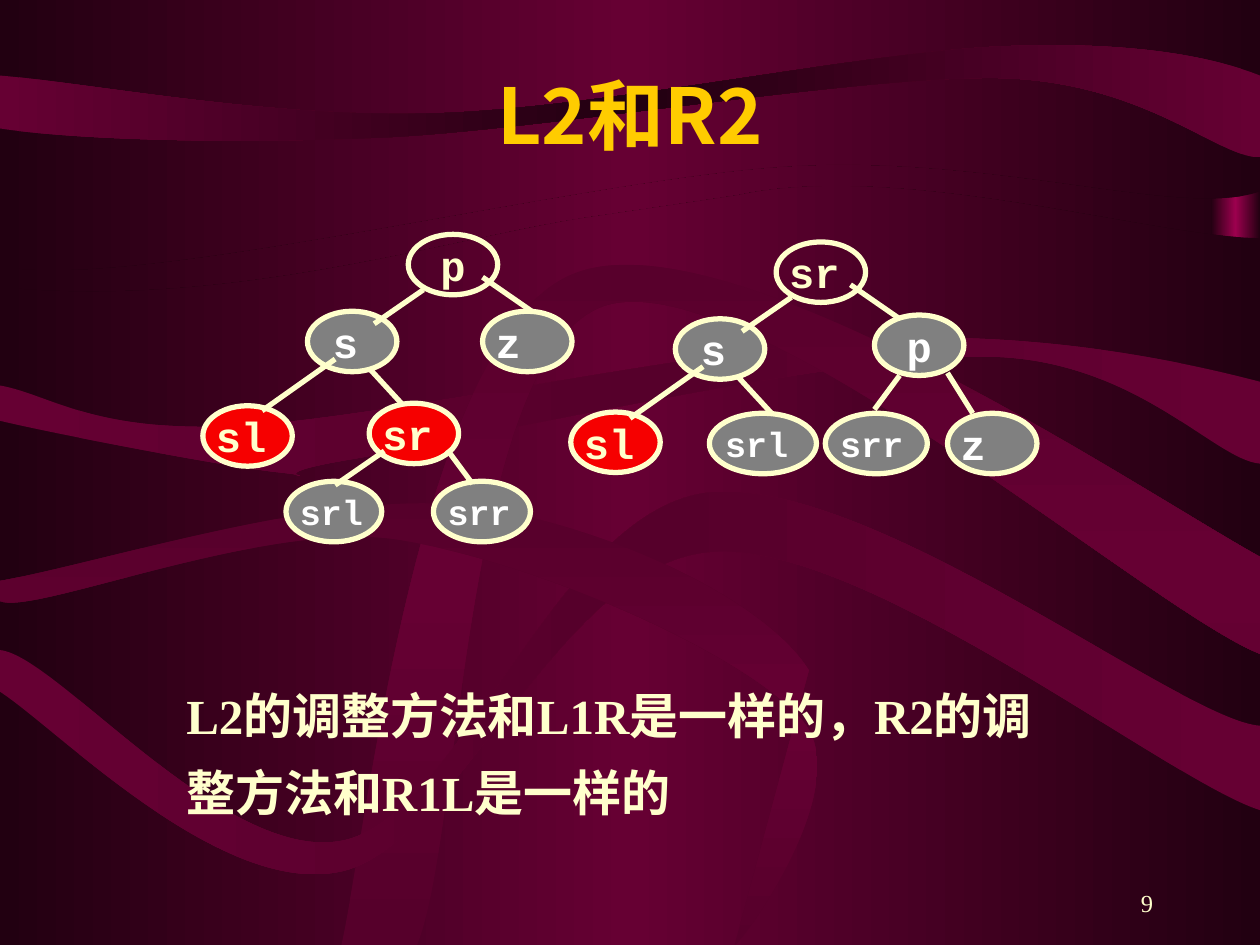
"""Build the slide that shows the L2 and R2 tree adjustments on a ribbon background."""
from copy import deepcopy
from dataclasses import dataclass

from lxml import etree
from pptx import Presentation
from pptx.dml.color import RGBColor
from pptx.enum.shapes import MSO_CONNECTOR, MSO_SHAPE
from pptx.enum.text import MSO_ANCHOR, PP_ALIGN
from pptx.oxml.ns import qn
from pptx.util import Cm, Pt

LEFT, CENTER, RIGHT = PP_ALIGN.LEFT, PP_ALIGN.CENTER, PP_ALIGN.RIGHT
JUSTIFY = PP_ALIGN.JUSTIFY
MIDDLE, BOTTOM = MSO_ANCHOR.MIDDLE, MSO_ANCHOR.BOTTOM
OVAL, RECTANGLE = MSO_SHAPE.OVAL, MSO_SHAPE.RECTANGLE
STRAIGHT = MSO_CONNECTOR.STRAIGHT


@dataclass(frozen=True)
class Theme:
    dark: str = "220011"
    wine: str = "660033"
    plum: str = "56002B"
    glow: str = "9C004E"
    cream: str = "FFFFCC"
    gold: str = "FFCC00"
    white: str = "FFFFFF"
    red: str = "F60000"
    grey: str = "808080"
    title_font: str = "Noto Sans CJK SC"
    body_font: str = "Times New Roman"
    node_font: str = "Courier New"
    title_size: int = 44
    body_size: int = 28
    node_size: int = 24
    small_node_size: int = 20
    number_size: int = 14
    outline: int = 3


THEME = Theme()
HORIZONTAL, VERTICAL = 0, 90
INSETS = (0.1, 0.05)
NODE_HEIGHT = 0.48
SECOND_TREE = (2.92, 0.06)

FADE = (THEME.dark, THEME.wine, THEME.dark)
DIP = (THEME.wine, THEME.dark, THEME.wine)
SOFT_DIP = (THEME.wine, THEME.plum, THEME.wine)
SOFT_RISE = (THEME.plum, THEME.wine, THEME.plum)

RIBBONS = [
    (FADE, HORIZONTAL, [(0, 0), (10, 0), (10, 1.52), (9.38, 1.74, 7.92, 1.22, 6.25, 1.32),
                        (4.58, 1.42, 1.04, 2.33, 0, 2.11)]),
    (FADE, HORIZONTAL, [(0, 2.28), (1.78, 2.45, 3.4, 1.94, 4.58, 1.74),
                        (4.58, 1.74, 5.67, 1.58, 5.86, 1.55),
                        (7.15, 1.27, 9.17, 1.89, 10, 1.89), (10, 7.5), (0, 7.5)]),
    (DIP, HORIZONTAL, [(0, 0.6), (0, 1.02), (0.51, 1.1, 1.76, 1.15, 3.08, 1.09),
                       (4.4, 1.02, 6.79, 0.6, 7.94, 0.62), (9.09, 0.65, 9.66, 1.25, 10, 1.25),
                       (10, 0.6), (9.65, 0.46, 9.01, 0.32, 7.92, 0.37),
                       (6.82, 0.42, 4.77, 0.86, 3.45, 0.9), (2.13, 0.94, 0.72, 0.66, 0, 0.6)]),
    (SOFT_DIP, HORIZONTAL, [(0, 3.06), (0, 3.34), (0.37, 3.43, 1.75, 3.7, 2.22, 3.75),
                            (2.69, 3.8, 1.9, 3.79, 2.82, 3.64), (3.75, 3.48, 6.6, 2.82, 7.8, 2.83),
                            (9, 2.83, 9.63, 3.65, 10, 3.68), (10, 3.03),
                            (9.5, 2.9, 8.36, 2.63, 7.01, 2.69), (5.66, 2.74, 3.07, 3.32, 1.9, 3.38),
                            (0.73, 3.44, 0.4, 3.13, 0, 3.06)]),
    (SOFT_RISE, VERTICAL, [(2.71, 7.5), (2.91, 6.61, 3.32, 2.69, 4.54, 2.18),
                           (5.75, 1.66, 9.09, 3.92, 10, 4.42), (10, 5.19),
                           (9.13, 4.85, 5.91, 2.05, 4.79, 2.43),
                           (3.68, 2.82, 3.66, 6.66, 3.31, 7.5)]),
    (SOFT_DIP, HORIZONTAL, [(0, 5.16), (0, 5.49), (0.45, 5.78, 1.74, 7.11, 2.69, 6.92),
                            (3.63, 6.74, 4.43, 4.46, 5.65, 4.38), (6.87, 4.29, 9.27, 6.2, 10, 6.43),
                            (10, 5.76), (9.38, 5.72, 6.91, 3.77, 5.62, 3.91),
                            (4.41, 4.06, 3.67, 6.46, 2.73, 6.67), (1.79, 6.87, 0.45, 5.2, 0, 5.16)]),
    (SOFT_RISE, VERTICAL, [(0, 4.61), (0, 4.77), (0.26, 4.89, 2.08, 4.13, 3.14, 4.28),
                           (4.2, 4.44, 5.92, 5.18, 6.37, 5.72), (6.82, 6.25, 5.82, 7.57, 5.83, 7.5),
                           (6.42, 5.32), (6.06, 4.74, 4.73, 4.13, 3.66, 4.01),
                           (2.59, 3.89, 0.76, 4.48, 0, 4.61)]),
]

NODES = [
    ("p", 3.24, 1.86, 0.71, None), ("sr", 2.93, 3.2, 0.71, THEME.red),
    ("sl", 1.61, 3.22, 0.71, THEME.red), ("s", 2.44, 2.47, 0.71, THEME.grey),
    ("z", 3.83, 2.47, 0.71, THEME.grey), ("srl", 2.27, 3.82, 0.76, THEME.grey),
    ("srr", 3.44, 3.82, 0.77, THEME.grey),
    ("p", 6.94, 2.5, 0.71, THEME.grey), ("sr", 6.16, 1.92, 0.71, None),
    ("sl", 4.53, 3.27, 0.71, THEME.red), ("s", 5.36, 2.53, 0.71, THEME.grey),
    ("z", 7.52, 3.28, 0.71, THEME.grey), ("srl", 5.63, 3.28, 0.85, THEME.grey),
    ("srr", 6.55, 3.28, 0.81, THEME.grey),
]
BACK_EDGE = (2.78, 2.76, 3.24, 3.26)
SHARED_EDGES = [(3.36, 2.3, 2.97, 2.57), (2.66, 2.85, 2.08, 3.26), (3.83, 2.2, 4.22, 2.47)]
OWN_EDGES = [(3.05, 3.58, 2.66, 3.85), (3.55, 3.57, 3.75, 3.84),
             (7.14, 2.98, 6.94, 3.25), (7.52, 2.96, 7.72, 3.28)]


def lengths(*inches):
    """Turn inches into slide lengths."""
    return [Cm(value * 2.54) for value in inches]


def shifted(edge):
    """Move an edge of the first tree to its place in the second tree."""
    return tuple(value + SECOND_TREE[index % 2] for index, value in enumerate(edge))


def bend(shape, outline):
    """Join each run of three line segments that stands for a curve."""
    segments = iter(shape.element.xpath(".//a:lnTo"))
    for step in outline[1:]:
        segment = next(segments)
        if len(step) == 6:
            segment.tag = qn("a:cubicBezTo")
            for follower in (next(segments), next(segments)):
                segment.append(follower[0])
                follower.getparent().remove(follower)


def paint_gradient(fill, element, colors, angle):
    """Give a fill three evenly spaced gradient colours."""
    fill.gradient()
    stop_list = element.xpath(".//a:gsLst")[0]
    stop_list.append(deepcopy(stop_list[0]))
    for index, (stop, color) in enumerate(zip(fill.gradient_stops, colors)):
        stop.position = index / 2
        stop.color.rgb = RGBColor.from_string(color)
    fill.gradient_angle = angle


def write(frame, text, *, size, font, color, bold=True, align=LEFT, anchor=MIDDLE,
          insets=INSETS, line_spacing=None):
    """Write one formatted paragraph into a text frame."""
    frame.word_wrap = True
    frame.vertical_anchor = anchor
    frame.margin_left, frame.margin_top = lengths(*insets)
    frame.margin_right, frame.margin_bottom = lengths(*insets)
    paragraph = frame.paragraphs[0]
    paragraph.alignment = align
    paragraph.line_spacing = line_spacing
    run = paragraph.add_run()
    run.text = text
    run.font.size, run.font.name, run.font.bold = Pt(size), font, bold
    run.font.color.rgb = RGBColor.from_string(color)
    etree.SubElement(run._r.get_or_add_rPr(), qn("a:ea"), typeface=THEME.title_font)


class SlideBuilder:
    """Hold the theme and the current slide, and add each kind of element."""

    def __init__(self, slide, theme):
        self.slide, self.theme, self.shapes = slide, theme, slide.shapes

    def background(self):
        paint_gradient(self.slide.background.fill, self.slide.element, FADE, HORIZONTAL)

    def decorate(self, shape, colors, angle):
        shape.shadow.inherit = False
        shape.line.fill.background()
        paint_gradient(shape.fill, shape.element, colors, angle)

    def band(self, left, top, width, height, colors):
        shape = self.shapes.add_shape(RECTANGLE, *lengths(left, top, width, height))
        self.decorate(shape, colors, HORIZONTAL)

    def ribbon(self, colors, angle, outline):
        points = [lengths(*step[index:index + 2]) for step in outline
                  for index in range(0, len(step), 2)]
        builder = self.shapes.build_freeform(*points[0])
        builder.add_line_segments(points[1:], close=True)
        shape = builder.convert_to_shape()
        bend(shape, outline)
        self.decorate(shape, colors, angle)

    def title(self, text, *box):
        shape = self.shapes.title
        self.shapes.element.append(shape.element)
        shape.left, shape.top, shape.width, shape.height = lengths(*box)
        write(shape.text_frame, text, size=self.theme.title_size, font=self.theme.title_font,
              color=self.theme.gold, align=CENTER)

    def text(self, text, *box, **style):
        shape = self.shapes.add_textbox(*lengths(*box))
        write(shape.text_frame, text, font=self.theme.body_font, color=self.theme.cream, **style)

    def node(self, label, left, top, width, color):
        theme = self.theme
        shape = self.shapes.add_shape(OVAL, *lengths(left, top, width, NODE_HEIGHT))
        shape.shadow.inherit = False
        if color:
            shape.fill.solid()
            shape.fill.fore_color.rgb = RGBColor.from_string(color)
        else:
            shape.fill.background()
        self.outline(shape.line)
        write(shape.text_frame, label, font=theme.node_font,
              size=theme.small_node_size if len(label) == 3 else theme.node_size,
              color=theme.white if color == theme.grey else theme.cream,
              align=CENTER if label == "p" else JUSTIFY,
              insets=INSETS if label == "s" else (0, 0))

    def edge(self, *ends):
        connector = self.shapes.add_connector(STRAIGHT, *lengths(*ends))
        self.outline(connector.line)
        etree.SubElement(connector.element.spPr, qn("a:effectLst"))

    def outline(self, line):
        line.width = Pt(self.theme.outline)
        line.color.rgb = RGBColor.from_string(self.theme.cream)


def main():
    """Build and save the presentation."""
    presentation = Presentation()
    presentation.slide_width, presentation.slide_height = lengths(10, 7.5)
    slide = presentation.slides.add_slide(presentation.slide_layouts[5])
    builder = SlideBuilder(slide, THEME)
    builder.background()
    builder.band(9.61, 0.49, 0.39, 3.45, (THEME.dark, THEME.glow, THEME.dark))
    for ribbon in RIBBONS:
        builder.ribbon(*ribbon)
    builder.text("9", 7.17, 6.83, 2.08, 0.5, size=THEME.number_size, bold=False,
                 align=RIGHT, anchor=BOTTOM)
    builder.title("L2和R2", 0.75, 0.28, 8.5, 1.25)
    for edge in (BACK_EDGE, shifted(BACK_EDGE)):
        builder.edge(*edge)
    for node in NODES:
        builder.node(*node)
    for edge in SHARED_EDGES + [shifted(edge) for edge in SHARED_EDGES] + OWN_EDGES:
        builder.edge(*edge)
    builder.text("L2的调整方法和L1R是一样的，R2的调整方法和R1L是一样的", 1.38, 5.25, 7.01, 1.32,
                 size=THEME.body_size, line_spacing=1.3)
    presentation.save("out.pptx")


if __name__ == "__main__":
    main()
